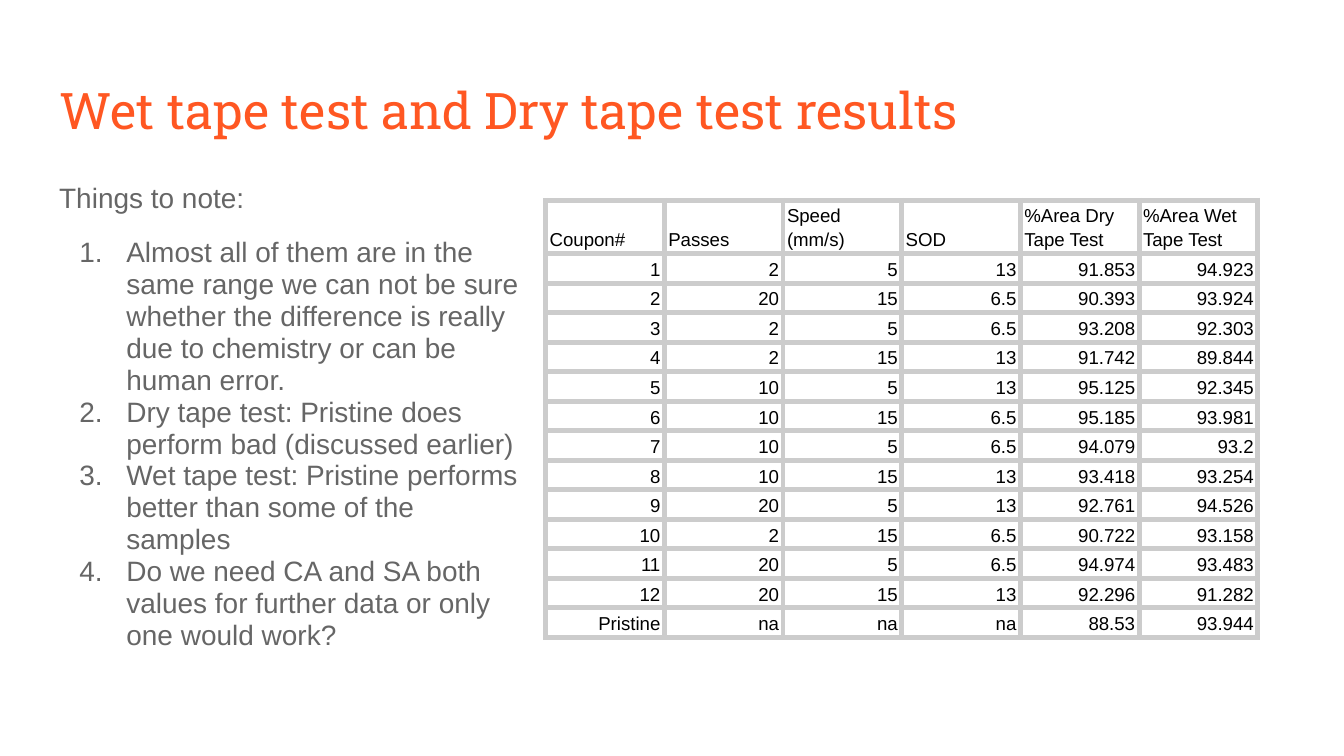
from typing import NamedTuple

from lxml.etree import SubElement
from pptx import Presentation
from pptx.dml.color import RGBColor
from pptx.enum.text import MSO_ANCHOR, MSO_AUTO_SIZE, PP_ALIGN
from pptx.oxml.ns import qn
from pptx.util import Inches, Pt

ORANGE, GRAY, BLACK, WHITE, BORDER = "FF5722", "666666", "000000", "FFFFFF", "CCCCCC"
TABLE_WIDTH, HEADER_HEIGHT, ROW_HEIGHT = 5.3, 0.36, 0.22
BORDER_WIDTH = 3

HEADINGS = ("Coupon#", "Passes", "Speed (mm/s)", "SOD",
            "%Area Dry Tape Test", "%Area Wet Tape Test")
NOTES = (
    "Almost all of them are in the same range we can not be sure whether "
    "the difference is really due to chemistry or can be human error.",
    "Dry tape test: Pristine does perform bad (discussed earlier)",
    "Wet tape test: Pristine performs better than some of the samples",
    "Do we need CA and SA both values for further data or only one would work?",
)


class Coupon(NamedTuple):
    number: str
    passes: str
    speed: str
    sod: str
    dry_area: str
    wet_area: str


COUPONS = (
    Coupon("1", "2", "5", "13", "91.853", "94.923"),
    Coupon("2", "20", "15", "6.5", "90.393", "93.924"),
    Coupon("3", "2", "5", "6.5", "93.208", "92.303"),
    Coupon("4", "2", "15", "13", "91.742", "89.844"),
    Coupon("5", "10", "5", "13", "95.125", "92.345"),
    Coupon("6", "10", "15", "6.5", "95.185", "93.981"),
    Coupon("7", "10", "5", "6.5", "94.079", "93.2"),
    Coupon("8", "10", "15", "13", "93.418", "93.254"),
    Coupon("9", "20", "5", "13", "92.761", "94.526"),
    Coupon("10", "2", "15", "6.5", "90.722", "93.158"),
    Coupon("11", "20", "5", "6.5", "94.974", "93.483"),
    Coupon("12", "20", "15", "13", "92.296", "91.282"),
    Coupon("Pristine", "na", "na", "na", "88.53", "93.944"),
)


def color(value: str) -> RGBColor:
    return RGBColor.from_string(value)


def style(paragraph, font_name: str, size: float, text_color: str) -> None:
    paragraph.font.name = font_name
    paragraph.font.size = Pt(size)
    paragraph.font.color.rgb = color(text_color)


def place(placeholder, left: float, top: float, width: float, height: float):
    """Move a placeholder and return its text frame, ready for text."""
    placeholder.left, placeholder.top = Inches(left), Inches(top)
    placeholder.width, placeholder.height = Inches(width), Inches(height)
    frame = placeholder.text_frame
    frame.margin_left = frame.margin_right = Inches(0.1)
    frame.margin_top = frame.margin_bottom = Inches(0.1)
    frame.vertical_anchor = MSO_ANCHOR.TOP
    frame.auto_size = MSO_AUTO_SIZE.NONE
    frame.word_wrap = True
    return frame


def set_list_format(paragraph, numbered: bool) -> None:
    properties = paragraph._p.get_or_add_pPr()
    properties.set("marL", str(Inches(0.5) if numbered else 0))
    properties.set("indent", str(Inches(-0.35) if numbered else 0))
    if numbered:
        bullet_color = SubElement(properties, qn("a:buClr"))
        SubElement(bullet_color, qn("a:srgbClr"), val=GRAY)
        SubElement(properties, qn("a:buFont"), typeface="Arial")
        SubElement(properties, qn("a:buAutoNum"), type="arabicPeriod")
    else:
        SubElement(properties, qn("a:buNone"))


def fill_notes(frame) -> None:
    frame.text = "\n".join(("Things to note:", *NOTES))
    for index, paragraph in enumerate(frame.paragraphs):
        set_list_format(paragraph, numbered=index > 0)
        paragraph.line_spacing = 0.95
        paragraph.space_before = Pt(12 if index == 1 else 0)
        style(paragraph, "Arial", 15, GRAY)


def add_borders(cell) -> None:
    properties = cell._tc.get_or_add_tcPr()
    for side in ("a:lnL", "a:lnR", "a:lnT", "a:lnB"):
        line = SubElement(properties, qn(side), w=str(Pt(BORDER_WIDTH)))
        line_fill = SubElement(line, qn("a:solidFill"))
        SubElement(line_fill, qn("a:srgbClr"), val=BORDER)


def fill_cell(cell, text: str, align: PP_ALIGN) -> None:
    cell.text = text
    cell.vertical_anchor = MSO_ANCHOR.BOTTOM
    cell.margin_left = cell.margin_right = Inches(0.03)
    cell.margin_top = cell.margin_bottom = Inches(0.02)
    add_borders(cell)
    cell.fill.solid()
    cell.fill.fore_color.rgb = color(WHITE)
    paragraph = cell.text_frame.paragraphs[0]
    paragraph.alignment = align
    paragraph.line_spacing = 1.15
    style(paragraph, "Arial", 10, BLACK)


def add_results(slide) -> None:
    """Add the coupon table; its width is shared equally by the columns."""
    rows = (HEADINGS, *COUPONS)
    height = HEADER_HEIGHT + ROW_HEIGHT * len(COUPONS)
    results = slide.shapes.add_table(
        len(rows), len(HEADINGS), Inches(4.06), Inches(1.49),
        Inches(TABLE_WIDTH), Inches(height)).table
    results.first_row = results.horz_banding = False
    for index, values in enumerate(rows):
        is_header = index == 0
        results.rows[index].height = Inches(HEADER_HEIGHT if is_header else ROW_HEIGHT)
        align = PP_ALIGN.LEFT if is_header else PP_ALIGN.RIGHT
        for cell, value in zip(results.rows[index].cells, values):
            fill_cell(cell, value, align)


def main() -> None:
    deck = Presentation()
    deck.slide_width = Inches(10)
    deck.slide_height = deck.slide_width * 9 // 16
    slide = deck.slides.add_slide(deck.slide_layouts[1])
    slide.background.fill.solid()
    slide.background.fill.fore_color.rgb = color(WHITE)

    heading = place(slide.shapes.title, 0.34, 0.49, 9.32, 0.63)
    heading.text = "Wet tape test and Dry tape test results"
    heading.paragraphs[0].alignment = PP_ALIGN.LEFT
    style(heading.paragraphs[0], "Roboto Slab", 27, ORANGE)

    fill_notes(place(slide.placeholders[1], 0.34, 1.26, 3.67, 3.74))
    add_results(slide)
    deck.save("out.pptx")


if __name__ == "__main__":
    main()
